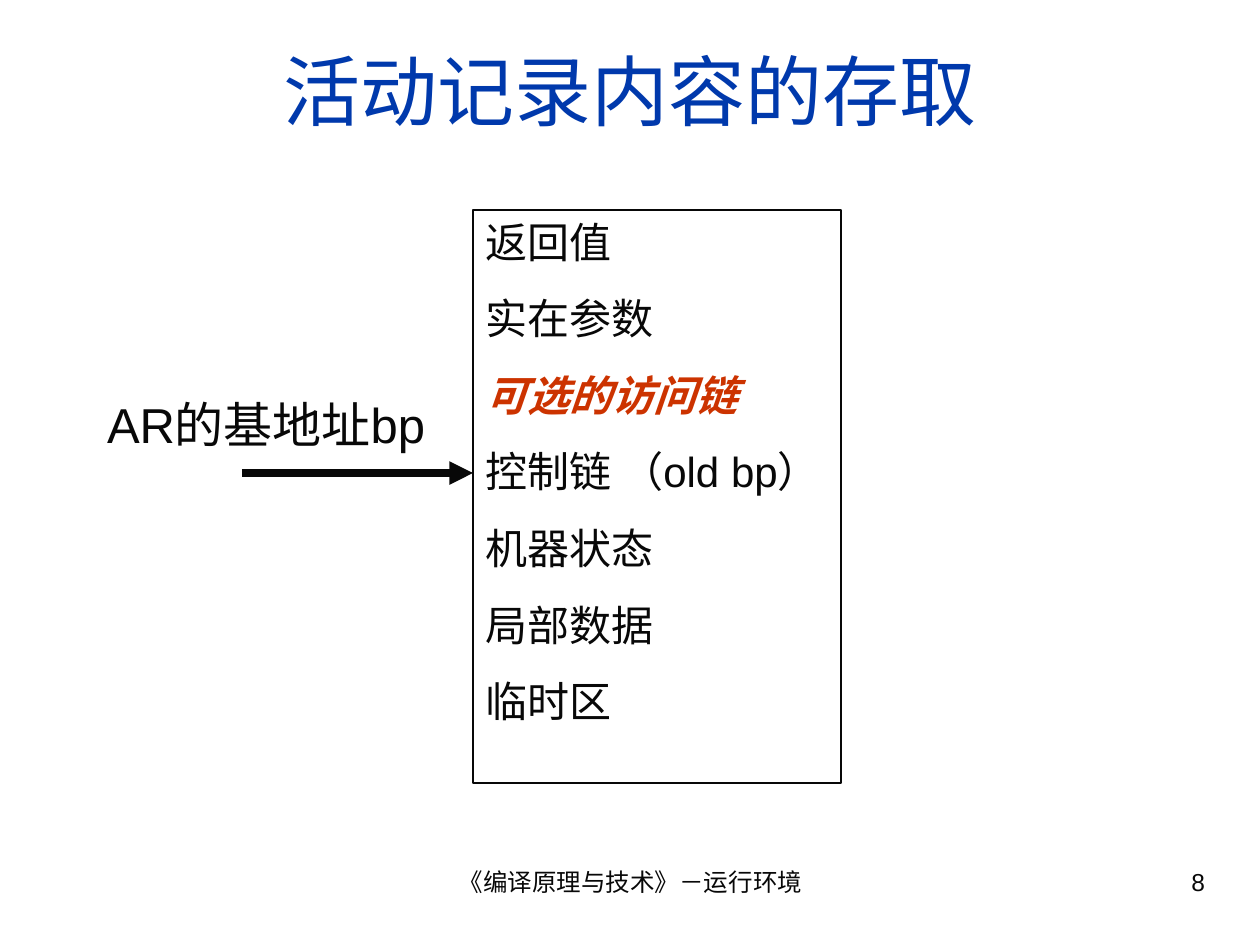
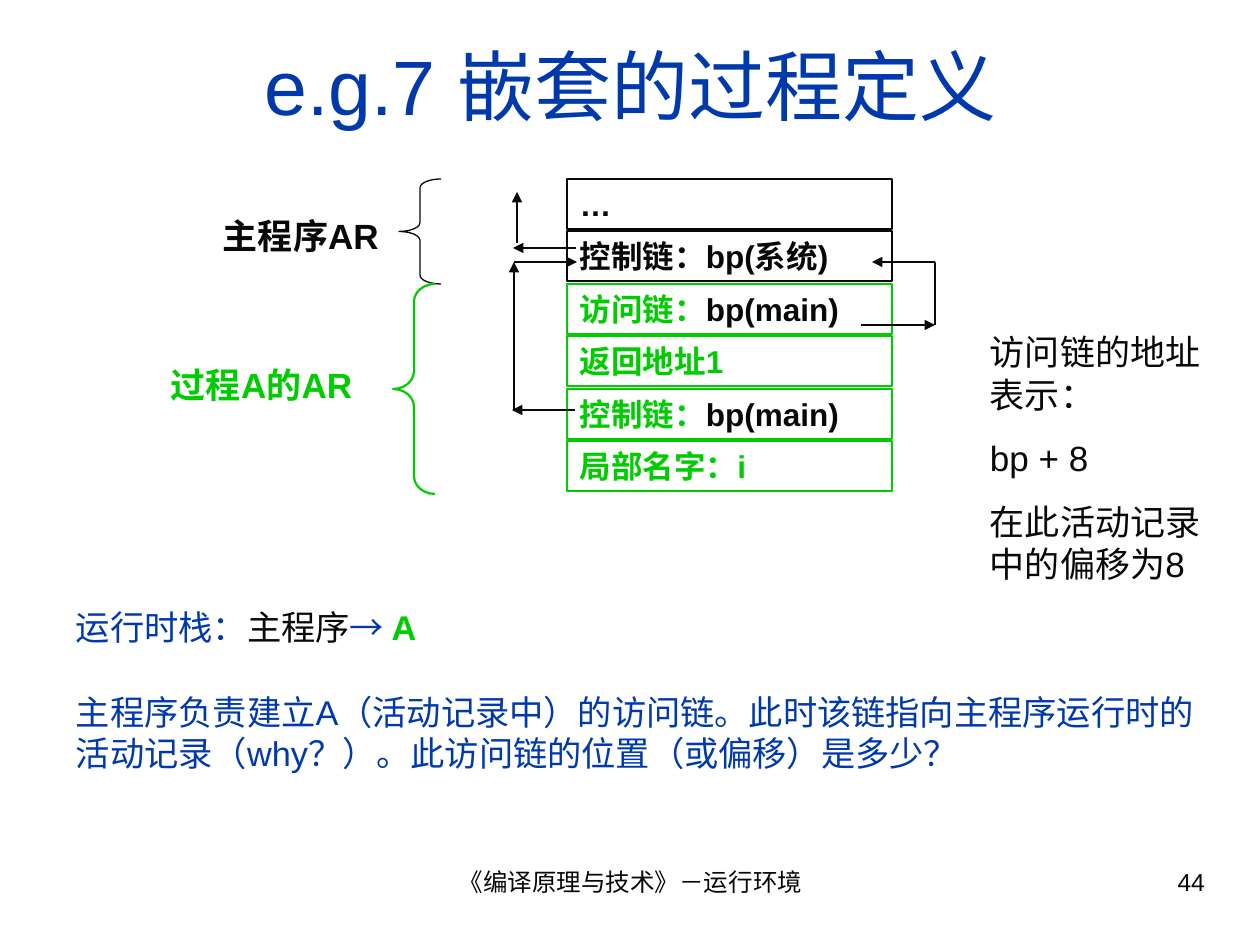
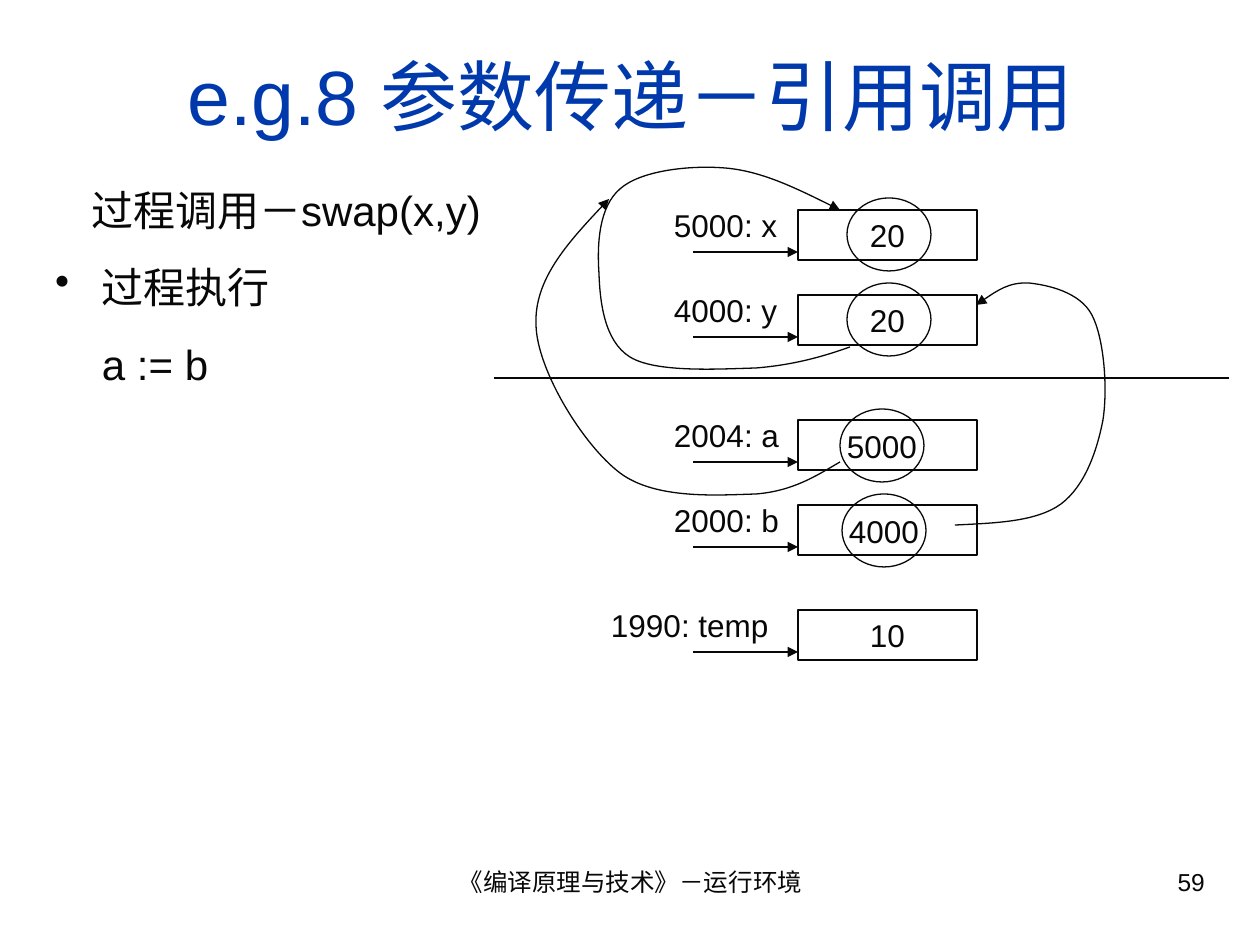
"""Builds three lecture slides on activation records and parameter passing."""
from dataclasses import dataclass

from lxml.etree import SubElement
from pptx import Presentation
from pptx.dml.color import RGBColor
from pptx.enum.shapes import MSO_CONNECTOR, MSO_SHAPE
from pptx.enum.text import MSO_ANCHOR, MSO_AUTO_SIZE, PP_ALIGN
from pptx.oxml.ns import qn
from pptx.util import Emu, Pt

SCALE = 914400 / 126


@dataclass(frozen=True)
class Theme:
    """Colours, type sizes and line widths of the deck."""
    font: str = "Arial"
    ink: str = "080808"
    blue: str = "0039AC"
    green: str = "00CC00"
    red: str = "CC3300"
    title: float = 44
    base: float = 28
    body: float = 24
    note: float = 20
    stack: float = 19.6
    cell: float = 18
    foot: float = 14
    thin: float = 0.75
    plain: float = 1
    firm: float = 1.25
    thick: float = 4.5
    lead: float = 0.625


THEME = Theme()


@dataclass(frozen=True)
class Box:
    """A place on the slide in px."""
    x: int
    y: int
    w: int
    h: int


@dataclass(frozen=True)
class Run:
    """A piece of text with its own colour or weight."""
    text: str
    color: str | None = None
    bold: bool | None = None


@dataclass(frozen=True)
class Para:
    """A paragraph with its type style; gap is the space before it in points."""
    runs: tuple[Run, ...]
    size: float
    color: str = THEME.ink
    bold: bool = False
    slant: bool = False
    align: PP_ALIGN = PP_ALIGN.LEFT
    gap: float | None = None
    left: int = 0
    hang: int = 0
    dot: bool = False


@dataclass(frozen=True)
class Arrow:
    """A straight line from one point to another."""
    x1: int
    y1: int
    x2: int
    y2: int
    width: float = THEME.thin
    tip: bool = True


@dataclass(frozen=True)
class Cell:
    """A named memory cell with its address and value."""
    y: int
    name: str
    value: str = ""
    x: int = 661


def px(count: float) -> Emu:
    """Turn px into EMU."""
    return Emu(round(count * SCALE))


def place(box: Box) -> tuple[Emu, Emu, Emu, Emu]:
    """Give a box as EMU lengths."""
    return px(box.x), px(box.y), px(box.w), px(box.h)


def para(text: str, size: float, **style) -> Para:
    """Make a paragraph of one run."""
    return Para((Run(text),), size, **style)


def stroke(shape, color: str, width: float, tip: bool = False) -> None:
    """Set the line of a shape, with an arrowhead if asked."""
    shape.line.color.rgb = RGBColor.from_string(color)
    shape.line.width = Pt(width)
    if tip:
        line = shape.element.spPr.find(qn("a:ln"))
        SubElement(line, qn("a:tailEnd"), type="triangle")


def fill(shape, paras: list[Para], anchor=MSO_ANCHOR.TOP, wrap: bool = True,
         grow: bool = True, inset: tuple[int, int, int] = (13, 6, 6)) -> None:
    """Write paragraphs into a shape."""
    frame = shape.text_frame
    frame.word_wrap = wrap
    frame.auto_size = MSO_AUTO_SIZE.SHAPE_TO_FIT_TEXT if grow else MSO_AUTO_SIZE.NONE
    frame.vertical_anchor = anchor
    side, top, base = (px(part) for part in inset)
    frame.margin_left = frame.margin_right = side
    frame.margin_top, frame.margin_bottom = top, base
    for rank, item in enumerate(paras):
        line = frame.add_paragraph() if rank else frame.paragraphs[0]
        line.alignment = item.align
        line.space_before = Pt(item.size * THEME.lead if item.gap is None else item.gap)
        font = line.font
        font.name, font.size = THEME.font, Pt(item.size)
        font.bold, font.italic = item.bold, item.slant
        font.color.rgb = RGBColor.from_string(item.color)
        for part in item.runs:
            run = line.add_run()
            run.text = part.text
            if part.color:
                run.font.color.rgb = RGBColor.from_string(part.color)
            if part.bold is not None:
                run.font.bold = part.bold
        if item.left:
            props = font._element.getparent()
            props.set("marL", str(px(item.left)))
            props.set("indent", str(px(-item.hang)))
            if item.dot:
                mark = SubElement(props, qn("a:buChar"), char="•")
                font._element.addprevious(mark)


def label(slide, box: Box, paras: list[Para], **style) -> None:
    """Add a text box."""
    fill(slide.shapes.add_textbox(*place(box)), paras, **style)


def form(slide, kind, box: Box, color: str = THEME.ink, width: float = THEME.thin):
    """Add an unfilled preset shape."""
    shape = slide.shapes.add_shape(kind, *place(box))
    shape.shadow.inherit = False
    shape.fill.background()
    stroke(shape, color, width)
    return shape


def arrow(slide, item: Arrow) -> None:
    """Add a straight line or arrow."""
    ends = (px(part) for part in (item.x1, item.y1, item.x2, item.y2))
    line = slide.shapes.add_connector(MSO_CONNECTOR.STRAIGHT, *ends)
    stroke(line, THEME.ink, item.width, item.tip)
    SubElement(line.element.spPr, qn("a:effectLst"))


def curve(slide, points: list[tuple[int, int]]) -> None:
    """Add an arrow through cubic segments: a start, then three points each."""
    build = slide.shapes.build_freeform(*points[0], scale=SCALE)
    build.add_line_segments(points[1:], close=False)
    shape = build.convert_to_shape()
    shape.shadow.inherit = False
    shape.fill.background()
    stroke(shape, THEME.ink, THEME.thin, tip=True)
    steps = list(shape.element.iter(qn("a:lnTo")))
    for start in range(0, len(steps), 3):
        bend, *rest = steps[start:start + 3]
        bend.tag = qn("a:cubicBezTo")
        for step in rest:
            bend.extend(list(step))
            step.getparent().remove(step)


def brace(slide, box: Box, color: str, width: float, bend: float) -> None:
    """Add a left brace."""
    form(slide, MSO_SHAPE.LEFT_BRACE, box, color, width).adjustments[0] = bend


def base(deck, title: str, height: int, number: int):
    """Add a slide with its title, footer and number."""
    slide = deck.slides.add_slide(deck.slide_layouts[6])
    for box, text, align in (
        (Box(431, 861, 399, 66), "《编译原理与技术》－运行环境", PP_ALIGN.CENTER),
        (Box(903, 861, 315, 66), str(number), PP_ALIGN.RIGHT),
    ):
        label(slide, box, [para(text, THEME.foot, align=align, gap=0)], grow=False)
    head = para(title, THEME.title, color=THEME.blue, align=PP_ALIGN.CENTER, gap=0)
    label(slide, Box(42, 32, 1177, height), [head], anchor=MSO_ANCHOR.MIDDLE,
          grow=False, inset=(0, 0, 0))
    return slide


def access(deck) -> None:
    """Show the fields of an activation record."""
    slide = base(deck, "活动记录内容的存取", 116, 8)
    above = ["返回值", "实在参数"]
    below = ["控制链 （old bp）", "机器状态", "局部数据", "临时区"]
    link = para("可选的访问链", THEME.body, color=THEME.red, bold=True, slant=True)
    fields = [para(text, THEME.body) for text in above]
    fields += [link] + [para(text, THEME.body) for text in below]
    fill(form(slide, MSO_SHAPE.RECTANGLE, Box(473, 210, 368, 573), width=THEME.plain), fields)
    arrow(slide, Arrow(242, 473, 473, 473, THEME.thick))
    label(slide, Box(94, 388, 410, 72), [para("AR的基地址bp", THEME.base)])


def nest(deck) -> None:
    """Show the run-time stack of nested procedures."""
    slide = base(deck, "e.g.7 嵌套的过程定义", 105, 44)
    main = Run("bp(main)", THEME.ink)
    rows = [
        (THEME.ink, (Run("…"),)),
        (THEME.ink, (Run("控制链：bp(系统)"),)),
        (THEME.green, (Run("访问链："), main)),
        (THEME.green, (Run("返回地址1"),)),
        (THEME.green, (Run("控制链："), main)),
        (THEME.green, (Run("局部名字：i"),)),
    ]
    for rank, (color, runs) in enumerate(rows):
        box = Box(567, 179 + rank * 105 // 2, 325, 50)
        cell = form(slide, MSO_SHAPE.RECTANGLE, box, color, THEME.plain)
        fill(cell, [Para(runs, THEME.cell, color, bold=True)])

    for item in (
        Arrow(575, 410, 512, 410, THEME.firm),
        Arrow(514, 410, 514, 262, THEME.firm),
        Arrow(514, 262, 577, 262, THEME.firm),
        Arrow(576, 248, 513, 248),
        Arrow(517, 243, 517, 192),
        Arrow(861, 325, 935, 325, THEME.plain),
        Arrow(935, 325, 935, 262, THEME.plain, tip=False),
        Arrow(935, 262, 872, 262, THEME.plain),
    ):
        arrow(slide, item)

    brace(slide, Box(399, 179, 42, 105), THEME.ink, THEME.thin, 0.21)
    brace(slide, Box(393, 284, 42, 210), THEME.green, THEME.firm, 0.42)
    for box, text, color in (
        (Box(210, 208, 199, 55), "主程序AR", THEME.ink),
        (Box(158, 357, 242, 55), "过程A的AR", THEME.green),
    ):
        label(slide, box, [para(text, THEME.note, color=color, bold=True)])

    trace = (Run("运行时栈："), Run("主程序", THEME.ink), Run("→ "),
             Run("A", THEME.green, True))
    ask = ("主程序负责建立A（活动记录中）的访问链。此时该链指向主程序运行时的活动记录"
           "（why？）。此访问链的位置（或偏移）是多少？")
    label(slide, Box(63, 567, 1177, 221),
          [Para(trace, THEME.stack, THEME.blue, gap=0),
           para(ask, THEME.stack, color=THEME.blue, gap=25)],
          anchor=MSO_ANCHOR.MIDDLE, grow=False, inset=(13, 30, 6))
    notes = ["访问链的地址表示：", "bp + 8", "在此活动记录中的偏移为8"]
    label(slide, Box(977, 325, 252, 267), [para(text, THEME.note) for text in notes])


def swap(deck) -> None:
    """Show memory during a call by reference."""
    slide = base(deck, "e.g.8 参数传递－引用调用", 126, 59)
    label(slide, Box(42, 179, 483, 217), [
        para("过程调用－swap(x,y)", THEME.body, left=36),
        para("过程执行", THEME.body, left=47, hang=47, dot=True),
        para("a := b", THEME.body, left=47),
    ])
    for cell in (
        Cell(210, "5000: x", "20"),
        Cell(295, "4000: y", "20"),
        Cell(420, "2004: a"),
        Cell(505, "2000: b"),
        Cell(610, "1990: temp", "10", x=598),
    ):
        shape = form(slide, MSO_SHAPE.RECTANGLE, Box(798, cell.y, 179, 50))
        if cell.value:
            fill(shape, [para(cell.value, THEME.cell, align=PP_ALIGN.CENTER)])
        arrow(slide, Arrow(693, cell.y + 42, 798, cell.y + 42))
        label(slide, Box(cell.x, cell.y - 10, 798 - cell.x, 50),
              [para(cell.name, THEME.cell)])
    arrow(slide, Arrow(494, 378, 1229, 378, tip=False))

    for x, y, text in ((840, 409, "5000"), (842, 494, "4000"), (847, 283, ""), (847, 198, "")):
        ring = form(slide, MSO_SHAPE.OVAL, Box(x, y, 84, 73))
        if text:
            fill(ring, [para(text, THEME.cell, align=PP_ALIGN.CENTER, gap=0)],
                 anchor=MSO_ANCHOR.MIDDLE, wrap=False, grow=False)

    curve(slide, [
        (955, 525), (995, 523), (1036, 522), (1061, 504), (1085, 486), (1097, 451),
        (1103, 420), (1108, 388), (1104, 338), (1092, 315), (1080, 292), (1048, 285),
        (1029, 283), (1009, 282), (992, 294), (976, 305),
    ])
    curve(slide, [
        (850, 347), (822, 357), (793, 365), (756, 368), (719, 369), (656, 373),
        (630, 357), (604, 341), (600, 301), (599, 273), (597, 244), (599, 207),
        (620, 189), (640, 171), (688, 165), (725, 168), (761, 171), (800, 190), (840, 210),
    ])
    curve(slide, [
        (840, 462), (816, 476), (793, 491), (756, 494), (719, 495), (656, 500),
        (620, 473), (583, 445), (537, 370), (536, 325), (534, 280), (571, 239), (609, 199),
    ])


def main() -> None:
    """Build and save the deck."""
    deck = Presentation()
    deck.slide_width, deck.slide_height = px(1260), px(945)
    for draw in (access, nest, swap):
        draw(deck)
    deck.save("out.pptx")


if __name__ == "__main__":
    main()
